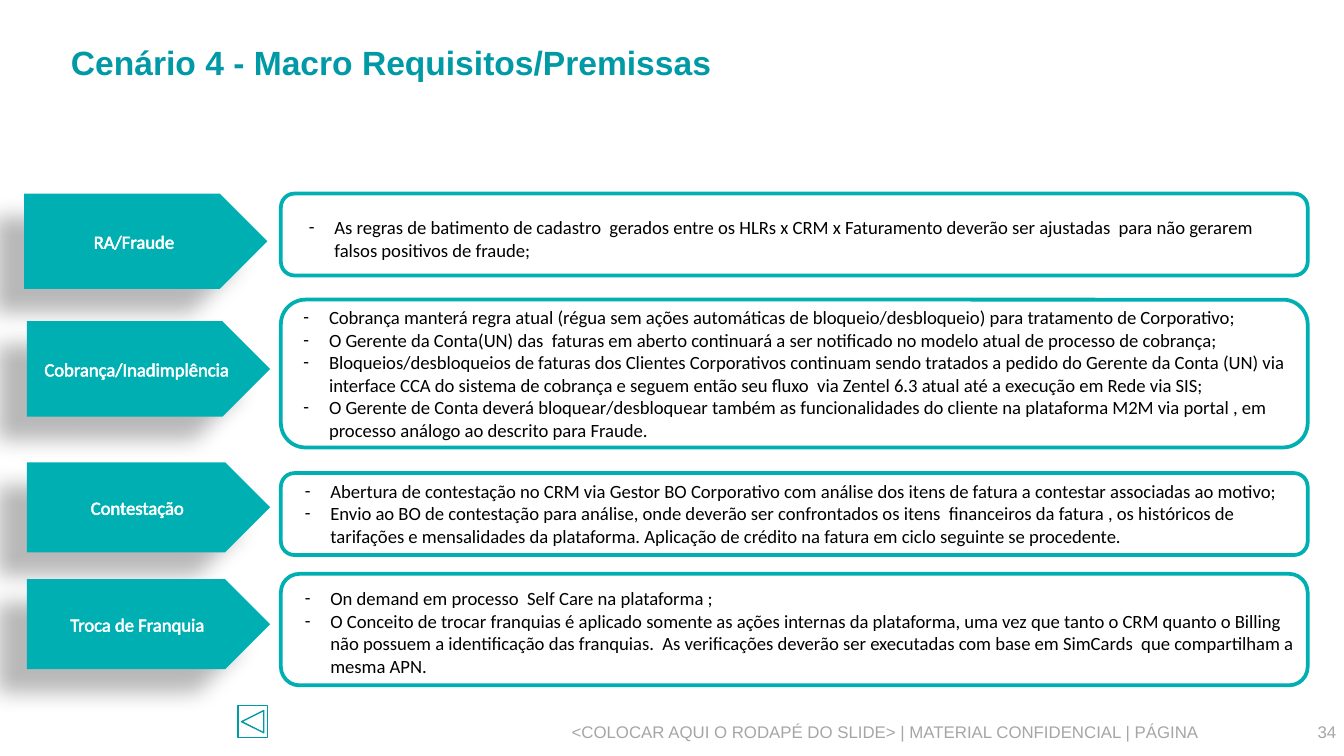
from dataclasses import dataclass

from lxml import etree
from pptx import Presentation
from pptx.dml.color import RGBColor
from pptx.enum.shapes import MSO_SHAPE
from pptx.enum.text import MSO_ANCHOR, PP_ALIGN
from pptx.oxml.ns import qn
from pptx.util import Inches, Pt

PLATE = MSO_SHAPE.PENTAGON
ROUND = MSO_SHAPE.ROUNDED_RECTANGLE
BACK = MSO_SHAPE.ACTION_BUTTON_BACK_OR_PREVIOUS
LEFT, MID, RIGHT = PP_ALIGN.LEFT, PP_ALIGN.CENTER, PP_ALIGN.RIGHT
TOP, CENTER = MSO_ANCHOR.TOP, MSO_ANCHOR.MIDDLE
TEAL, DEEP, GREY = "00AFB2", "009AA6", "A6A6A6"
WHITE, BLACK = "FFFFFF", "000000"
WIDE = Inches(10)
HANG = 0.19


@dataclass
class Box:
    x: float
    y: float
    w: float
    h: float

    def spans(self) -> list:
        return [Inches(v) for v in (self.x, self.y, self.w, self.h)]


@dataclass
class Topic:
    name: str
    tag: Box
    frame: Box
    body: Box
    items: list[str]


TOPICS = [
    Topic("RA/Fraude", Box(0.18, 1.44, 1.81, 0.71), Box(2.09, 1.44, 7.64, 0.61),
          Box(2.2, 1.56, 7.52, 0.44), [
        "As regras de batimento de cadastro  gerados entre os HLRs x CRM x Faturamento "
        "deverão ser ajustadas  para não gerarem falsos positivos de fraude;"]),
    Topic("Cobrança/Inadimplência", Box(0.2, 2.39, 1.81, 0.71), Box(2.09, 2.23, 7.64, 1.1),
          Box(2.16, 2.23, 7.56, 1.45), [
        "Cobrança manterá regra atual (régua sem ações automáticas de "
        "bloqueio/desbloqueio) para tratamento de Corporativo;",
        "O Gerente da Conta(UN) das  faturas em aberto continuará a ser notificado no "
        "modelo atual de processo de cobrança;",
        "Bloqueios/desbloqueios de faturas dos Clientes Corporativos continuam sendo "
        "tratados a pedido do Gerente da Conta (UN) via interface CCA do sistema de "
        "cobrança e seguem então seu fluxo  via Zentel 6.3 atual até a execução em Rede "
        "via SIS;",
        "O Gerente de Conta deverá bloquear/desbloquear também as funcionalidades do "
        "cliente na plataforma M2M via portal , em processo análogo ao descrito para "
        "Fraude."]),
    Topic("Contestação", Box(0.2, 3.44, 1.81, 0.67), Box(2.09, 3.52, 7.64, 0.61),
          Box(2.17, 3.52, 7.56, 0.61), [
        "Abertura de contestação no CRM via Gestor BO Corporativo com análise dos itens "
        "de fatura a contestar associadas ao motivo;",
        "Envio ao BO de contestação para análise, onde deverão ser confrontados os itens  "
        "financeiros da fatura , os históricos de tarifações e mensalidades da "
        "plataforma. Aplicação de crédito na fatura em ciclo seguinte se procedente."]),
    Topic("Troca de Franquia", Box(0.2, 4.31, 1.81, 0.67), Box(2.09, 4.27, 7.64, 0.83),
          Box(2.17, 4.32, 7.56, 0.77), [
        "On demand em processo  Self Care na plataforma ;",
        "O Conceito de trocar franquias é aplicado somente as ações internas da "
        "plataforma, uma vez que tanto o CRM quanto o Billing não possuem a identificação "
        "das franquias.  As verificações deverão ser executadas com base em SimCards  que "
        "compartilham a mesma APN."]),
]


def color(code: str) -> RGBColor:
    return RGBColor.from_string(code)


def node(root, tag: str, **attrs):
    return etree.SubElement(root, qn(tag), {k: str(v) for k, v in attrs.items()})


def tint(root, code: str, alpha: int = 100) -> None:
    rgb = node(root, "a:srgbClr", val=code)
    if alpha < 100:
        node(rgb, "a:alpha", val=alpha * 1000)


def write(shape, lines: list[str], *, font: str = "Calibri", size: float = 10,
          ink: str = BLACK, bold: bool = False, align=LEFT, anchor=TOP,
          dash: bool = False, edge: bool = False, space: float = 1.0) -> None:
    frame = shape.text_frame
    frame.word_wrap = True
    frame.vertical_anchor = anchor
    for i, line in enumerate(lines):
        para = frame.add_paragraph() if i else frame.paragraphs[0]
        para.alignment = align
        para.line_spacing = space
        if dash:
            props = para._p.get_or_add_pPr()
            props.set("marL", str(Inches(HANG)))
            props.set("indent", str(-Inches(HANG)))
            node(props, "a:buFont", typeface=font)
            node(props, "a:buChar", char="-")
        run = para.add_run()
        run.text = line
        run.font.name = font
        run.font.size = Pt(size)
        run.font.bold = bold
        run.font.color.rgb = color(ink)
        if edge:
            props = run.font._element
            ln = node(props, "a:ln", w=Pt(0.75))
            tint(node(ln, "a:solidFill"), ink)
            props.insert(0, ln)


def label(slide, box: Box, lines: list[str], **style) -> None:
    write(slide.shapes.add_textbox(*box.spans()), lines, **style)


def draw(slide, kind, box: Box, fill: str = "", line: str = "", width: float = 1):
    shape = slide.shapes.add_shape(kind, *box.spans())
    shape.shadow.inherit = False
    if fill:
        shape.fill.solid()
        shape.fill.fore_color.rgb = color(fill)
    else:
        shape.fill.background()
    if line:
        shape.line.color.rgb = color(line)
        shape.line.width = Pt(width)
    else:
        shape.line.fill.background()
    return shape


def shade(shape) -> None:
    root = shape._element.spPr.find(qn("a:effectLst"))
    cast = node(root, "a:outerShdw", blurRad=Pt(11.8), dist=Pt(19.7),
                dir=141 * 60000, algn="ctr", rotWithShape=0)
    tint(cast, BLACK, 28)


def place(slide, topic: Topic) -> None:
    tag = draw(slide, PLATE, topic.tag, fill=TEAL)
    shade(tag)
    tag.text_frame.margin_left = tag.text_frame.margin_right = Inches(0.05)
    write(tag, [topic.name], ink=WHITE, align=MID, anchor=CENTER, edge=True)
    draw(slide, ROUND, topic.frame, line=TEAL, width=2)
    label(slide, topic.body, topic.items, dash=True)


def main() -> None:
    """Build the scenario slide and save it."""
    deck = Presentation()
    deck.slide_width, deck.slide_height = WIDE, WIDE * 9 // 16
    slide = deck.slides.add_slide(deck.slide_layouts[6])
    foot = {"font": "Arial", "size": 9, "ink": GREY, "align": RIGHT}
    label(slide, Box(9.49, 5.32, 0.55, 0.3), ["34"], **foot)
    label(slide, Box(0.43, 5.32, 8.58, 0.3),
          ["<COLOCAR AQUI O RODAPÉ DO SLIDE> | MATERIAL CONFIDENCIAL | PÁGINA"], **foot)
    label(slide, Box(0.43, 0.3, 8.43, 0.86), ["Cenário 4 - Macro Requisitos/Premissas"],
          font="Arial", size=18, ink=DEEP, bold=True, space=0.9)
    for topic in TOPICS:
        place(slide, topic)
    draw(slide, BACK, Box(1.77, 5.25, 0.22, 0.24), line=DEEP, width=0.75)
    deck.save("out.pptx")


if __name__ == "__main__":
    main()
